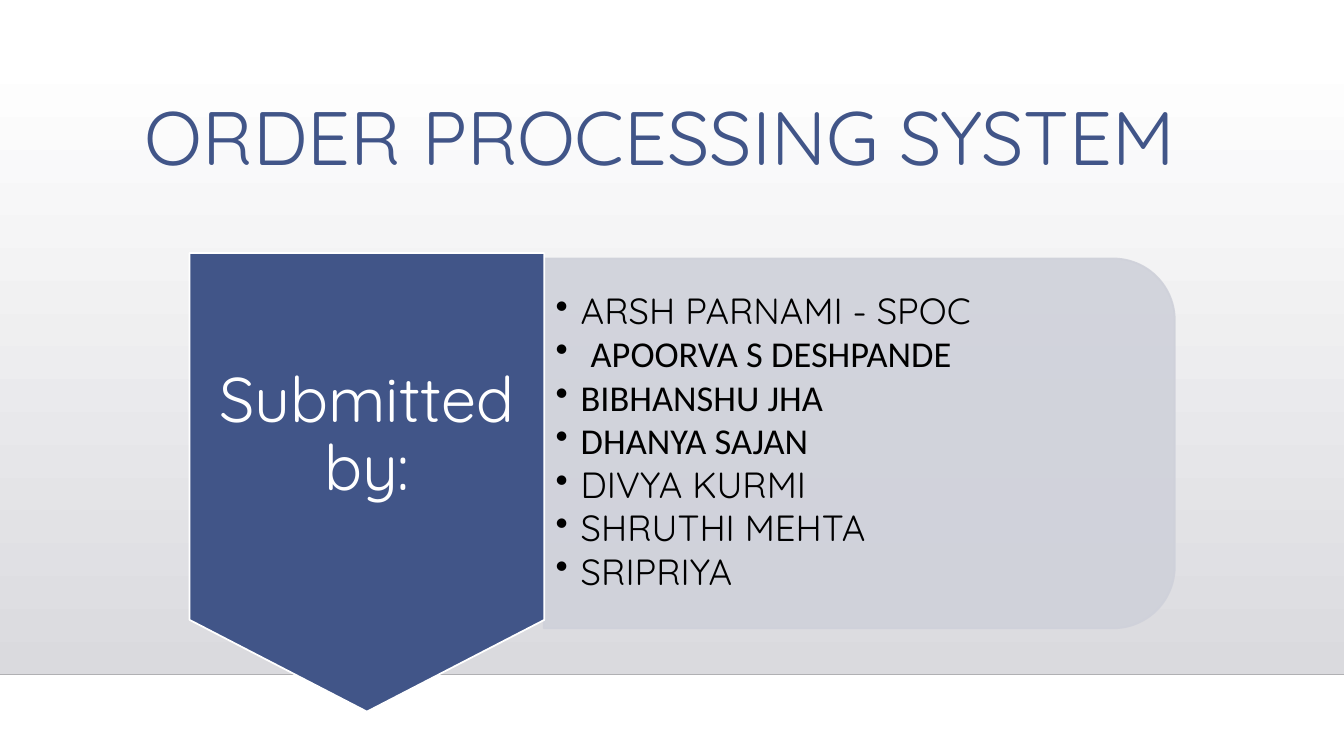
from lxml import etree
from pptx import Presentation
from pptx.dml.color import RGBColor
from pptx.enum.shapes import MSO_CONNECTOR, MSO_SHAPE
from pptx.enum.text import MSO_ANCHOR, PP_ALIGN
from pptx.oxml.ns import qn
from pptx.util import Pt

RECTANGLE = MSO_SHAPE.RECTANGLE
ROUNDED_END = MSO_SHAPE.ROUND_2_SAME_RECTANGLE
POINTED_TAG = MSO_SHAPE.FLOWCHART_OFFPAGE_CONNECTOR
STRAIGHT = MSO_CONNECTOR.STRAIGHT
MIDDLE = MSO_ANCHOR.MIDDLE
TOP = MSO_ANCHOR.TOP
CENTER = PP_ALIGN.CENTER
LEFT = PP_ALIGN.LEFT

NAVY = RGBColor(0x41, 0x55, 0x88)
PANEL = RGBColor(0xCF, 0xD1, 0xDA)
WHITE = RGBColor(0xFF, 0xFF, 0xFF)
BLACK = RGBColor(0, 0, 0)
FLOOR = RGBColor(0xDA, 0xDA, 0xDE)
HORIZON = RGBColor(0xB0, 0xB0, 0xB3)

HEADING_FONT = "Quicksand"
NAME_FONT = "Calibri"

MEMBERS = [
    [("ARSH PARNAMI - SPOC", HEADING_FONT)],
    [(" ", HEADING_FONT), ("APOORVA S DESHPANDE", NAME_FONT)],
    [("BIBHANSHU JHA", NAME_FONT)],
    [("DHANYA SAJAN", NAME_FONT)],
    [("DIVYA KURMI", HEADING_FONT)],
    [("SHRUTHI MEHTA", HEADING_FONT)],
    [("SRIPRIYA", HEADING_FONT)],
]


class SlideBuilder:
    def __init__(self, page):
        self.page = page

    def shape(self, kind, left, top, width, height, fill=None, line=None):
        shape = self.page.shapes.add_shape(kind, Pt(left), Pt(top), Pt(width), Pt(height))
        shape.shadow.inherit = False
        if fill is not None:
            shape.fill.solid()
            shape.fill.fore_color.rgb = fill
        if line is None:
            shape.line.fill.background()
        else:
            shape.line.color.rgb = line
            shape.line.width = Pt(1.25)
        return shape

    def backdrop(self, left, top, width, height):
        shape = self.shape(RECTANGLE, left, top, width, height)
        shape.fill.gradient()
        shape.fill.gradient_angle = 270
        for stop, color, position in zip(shape.fill.gradient_stops, (WHITE, FLOOR), (0, 1)):
            stop.color.rgb = color
            stop.position = position

    def horizon(self, top, width):
        line = self.page.shapes.add_connector(STRAIGHT, Pt(0), Pt(top), Pt(width), Pt(top))
        line.line.color.rgb = HORIZON
        line.line.width = Pt(1)
        etree.SubElement(line._element.spPr, qn("a:effectLst"))

    def panel(self, left, top, width, height):
        shape = self.shape(ROUNDED_END, left, top, width, height, PANEL, PANEL)
        shape.rotation = 90
        for color in shape._element.spPr.iter(qn("a:srgbClr")):
            etree.SubElement(color, qn("a:alpha"), val="90000")

    def text_box(self, left, top, width, height, anchor=TOP, wrap=True):
        box = self.page.shapes.add_textbox(Pt(left), Pt(top), Pt(width), Pt(height))
        box.text_frame.word_wrap = wrap
        box.text_frame.vertical_anchor = anchor
        return box

    def paragraph(self, para, spans, size, color, align=CENTER, spacing=1):
        para.alignment = align
        para.line_spacing = spacing
        para.font.size = Pt(size)
        para.font.color.rgb = color
        if len(spans) == 1:
            para.font.name = spans[0][1]
        for text, font in spans:
            span = para.add_run()
            span.text = text
            if len(spans) > 1:
                span.font.name = font

    def title(self, text, left, top, width, height):
        box = self.text_box(left, top, width, height, wrap=False)
        self.paragraph(box.text_frame.paragraphs[0], [(text, HEADING_FONT)], 54, NAVY)

    def tag(self, text, left, top, width, height):
        shape = self.shape(POINTED_TAG, left, top, width, height, NAVY, WHITE)
        frame = shape.text_frame
        frame.word_wrap = True
        frame.vertical_anchor = MIDDLE
        frame.margin_left = frame.margin_right = Pt(13.5)
        frame.margin_top = frame.margin_bottom = Pt(6.75)
        self.paragraph(frame.paragraphs[0], [(text, HEADING_FONT)], 45, WHITE, spacing=0.9)

    def bullets(self, items, left, top, width, height):
        frame = self.text_box(left, top, width, height, MIDDLE).text_frame
        frame.margin_left = frame.margin_right = Pt(8)
        for index, spans in enumerate(items):
            para = frame.add_paragraph() if index else frame.paragraphs[0]
            self.paragraph(para, spans, 26, BLACK, LEFT, 0.9)
            para.space_after = Pt(3)
            properties = para._p.get_or_add_pPr()
            properties.set("marL", str(Pt(18)))
            properties.set("indent", str(-Pt(18)))
            bullet = etree.Element(qn("a:buChar"), char="•")
            properties.find(qn("a:defRPr")).addprevious(bullet)


def main():
    deck = Presentation()
    deck.slide_width, deck.slide_height = Pt(960), Pt(540)
    builder = SlideBuilder(deck.slides.add_slide(deck.slide_layouts[6]))
    builder.backdrop(0, 36.7, 960, 445)
    builder.horizon(481.7, 960)
    builder.panel(481.7, 91.4, 264.2, 450.7)
    builder.bullets(MEMBERS, 388.8, 197.3, 437.8, 238.3)
    builder.tag("Submitted by:", 135.4, 180.7, 253.4, 327.6)
    builder.title("ORDER PROCESSING SYSTEM", 92.2, 60.5, 758.2, 72.7)
    deck.save("out.pptx")


if __name__ == "__main__":
    main()
